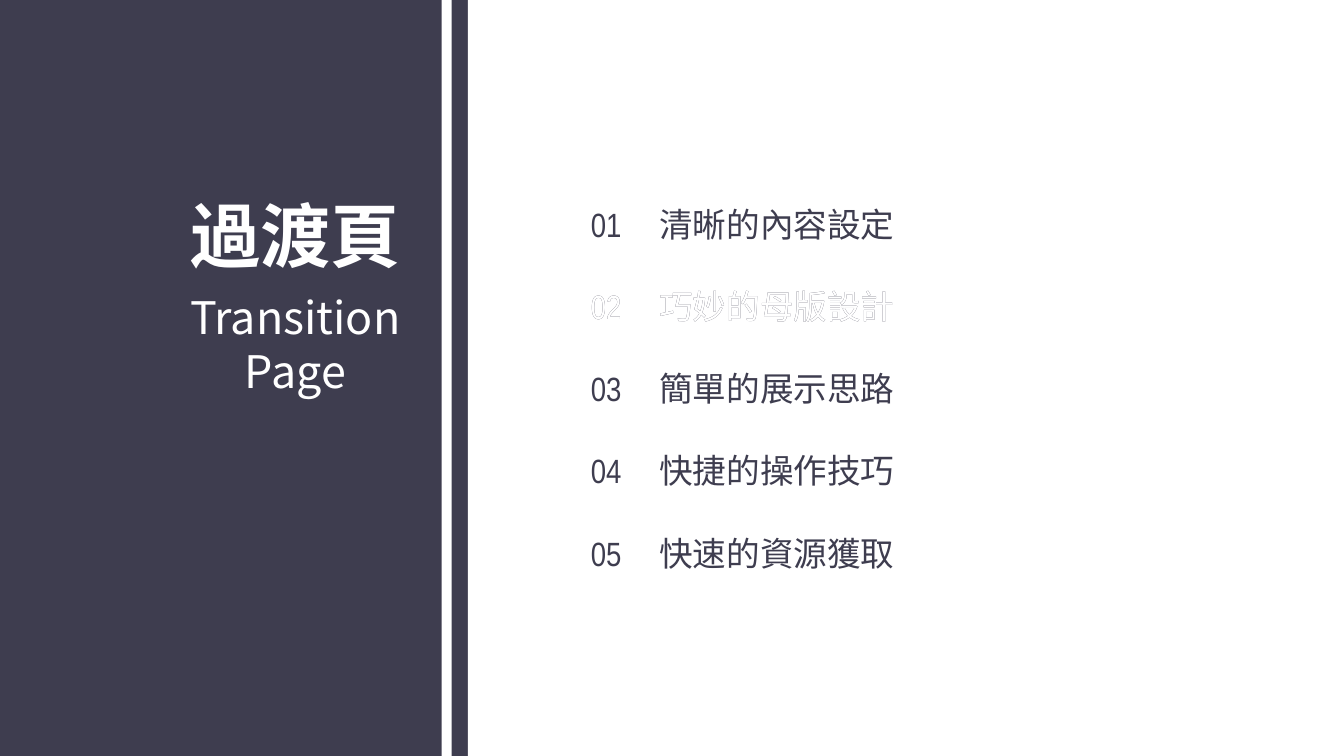
"""Build a transition slide with a dark side panel and a numbered agenda."""
from dataclasses import dataclass

import pptx
import pptx.dml.color
import pptx.enum.shapes
import pptx.enum.text
import pptx.oxml
import pptx.oxml.ns
import pptx.util

WIDE = pptx.util.Inches(13.33)
HIGH = pptx.util.Inches(7.5)
HUES = {"ink": "3E3D4F", "paper": "FFFFFF"}
SANS = "Noto Sans CJK SC"
SLIM = "Arial Narrow"
TOPICS = ["清晰的內容設定", "巧妙的母版設計", "簡單的展示思路", "快捷的操作技巧", "快速的資源獲取"]
ACTIVE = 2
FIRST = 26.95
PITCH = 10.87
TAB = pptx.util.Inches(0.68)


@dataclass
class Box:
    """Hold a frame in percent of the slide's size."""
    left: float
    top: float
    width: float
    height: float

    def place(self) -> tuple[int, int, int, int]:
        """Return the frame in slide units."""
        return (round(WIDE * self.left / 100), round(HIGH * self.top / 100),
                round(WIDE * self.width / 100), round(HIGH * self.height / 100))


@dataclass
class Entry:
    """Hold one agenda line."""
    number: int
    topic: str
    hue: str

    def box(self) -> Box:
        """Return the frame of the line by its number."""
        return Box(43.96, FIRST + PITCH * (self.number - 1), 31.43, 5.33)


BANDS = [Box(34.81, 0, 65.19, 100), Box(32.86, 0, 0.75, 100)]
TITLE = Box(12.23, 24.8, 19.5, 12.4)
SUB = Box(12.23, 37.73, 19.5, 15.6)


def color(hue: str) -> pptx.dml.color.RGBColor:
    """Return a named colour."""
    return pptx.dml.color.RGBColor.from_string(HUES[hue])


def face(font, name: str) -> None:
    """Set the Latin and East Asian typeface of a font."""
    font.name = name
    latin = font._element.find(pptx.oxml.ns.qn("a:latin"))
    latin.addnext(pptx.oxml.parse_xml(
        f'<a:ea {pptx.oxml.ns.nsdecls("a")} typeface="{name}"/>'))


def style(para, size: int, hue: str, bold: bool = False) -> None:
    """Format a whole paragraph."""
    para.font.size = pptx.util.Pt(size)
    para.font.bold = bold
    para.font.color.rgb = color(hue)


def band(slide, box: Box) -> None:
    """Draw a plain white band."""
    shape = slide.shapes.add_shape(
        pptx.enum.shapes.MSO_SHAPE.RECTANGLE, *box.place())
    shape.shadow.inherit = False
    shape.fill.solid()
    shape.fill.fore_color.rgb = color("paper")
    shape.line.fill.background()


def head(shape, box: Box, text: str, size: int, bold: bool) -> None:
    """Fill and format a centred heading."""
    shape.left, shape.top, shape.width, shape.height = box.place()
    frame = shape.text_frame
    frame.text = text
    frame.word_wrap = True
    frame.auto_size = pptx.enum.text.MSO_AUTO_SIZE.SHAPE_TO_FIT_TEXT
    frame.vertical_anchor = pptx.enum.text.MSO_ANCHOR.TOP
    para = frame.paragraphs[0]
    para.alignment = pptx.enum.text.PP_ALIGN.CENTER
    style(para, size, "paper", bold)
    face(para.font, SANS)


def line(slide, entry: Entry) -> None:
    """Draw one agenda line with its topic at a tab stop."""
    frame = slide.shapes.add_textbox(*entry.box().place()).text_frame
    frame.word_wrap = True
    frame.auto_size = pptx.enum.text.MSO_AUTO_SIZE.SHAPE_TO_FIT_TEXT
    frame.vertical_anchor = pptx.enum.text.MSO_ANCHOR.MIDDLE
    frame.margin_left = frame.margin_right = 0
    frame.margin_top = frame.margin_bottom = 0
    para = frame.paragraphs[0]
    style(para, 24, entry.hue)
    para._p.get_or_add_pPr().insert(0, pptx.oxml.parse_xml(
        f'<a:tabLst {pptx.oxml.ns.nsdecls("a")}>'
        f'<a:tab pos="{TAB}" algn="l"/></a:tabLst>'))
    for text, name in ((f"{entry.number:02d}\t", SLIM), (entry.topic, SANS)):
        run = para.add_run()
        run.text = text
        face(run.font, name)


def main() -> None:
    """Build and save the slide."""
    deck = pptx.Presentation()
    deck.slide_width, deck.slide_height = WIDE, HIGH
    slide = deck.slides.add_slide(deck.slide_layouts[5])
    slide.background.fill.solid()
    slide.background.fill.fore_color.rgb = color("ink")
    for box in BANDS:
        band(slide, box)
    head(slide.shapes.title, TITLE, "過渡頁", 50, True)
    sub = slide.shapes.add_textbox(*SUB.place())
    head(sub, SUB, "Transition Page", 32, False)
    items = [Entry(num, topic, "ink") for num, topic in enumerate(TOPICS, 1)]
    items.append(Entry(ACTIVE, TOPICS[ACTIVE - 1], "paper"))
    for entry in items:
        line(slide, entry)
    deck.save("out.pptx")


if __name__ == "__main__":
    main()
